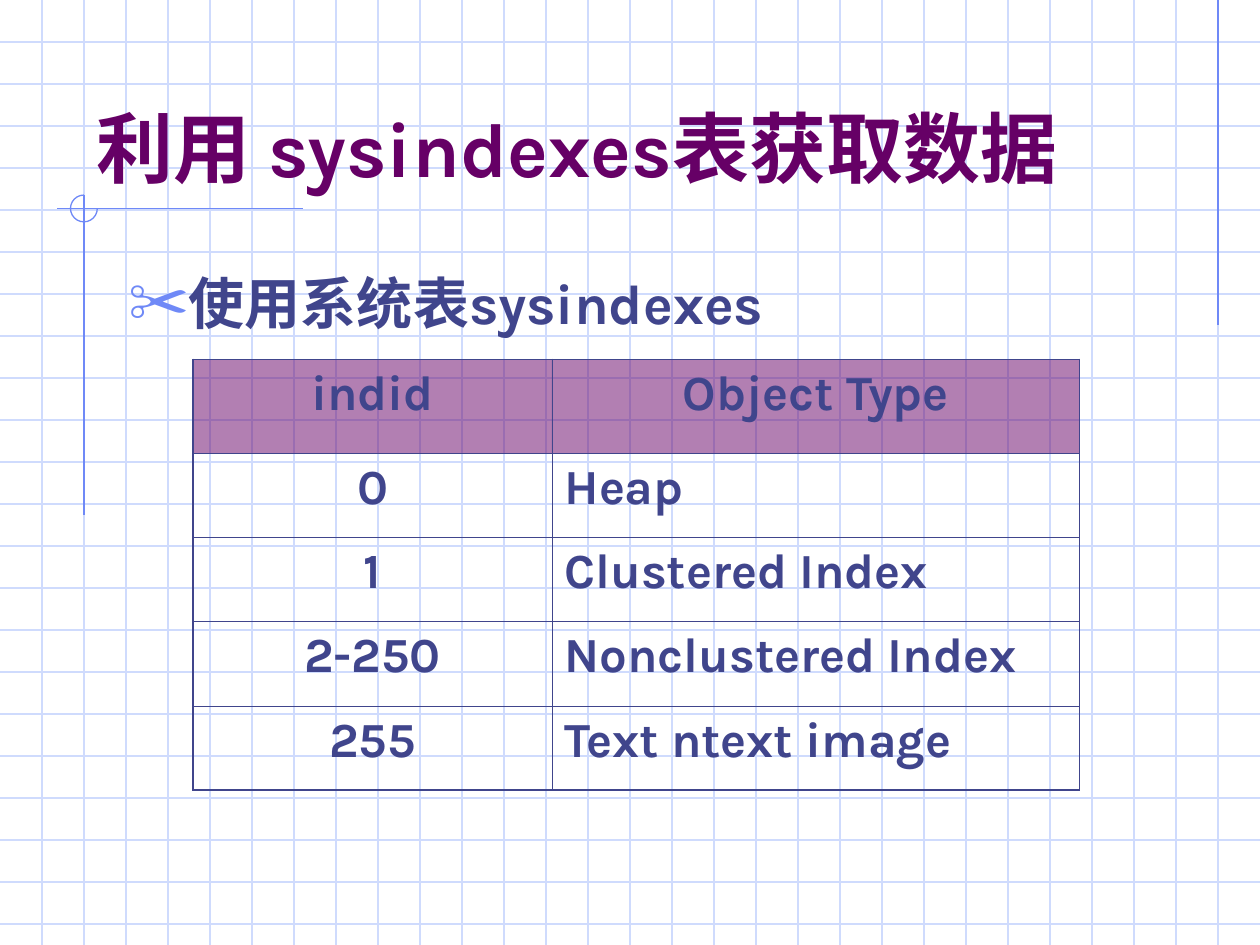
from dataclasses import dataclass

from lxml import etree
from pptx import Presentation
from pptx import util as u
from pptx.dml.color import RGBColor
from pptx.enum import shapes, text
from pptx.oxml import ns

Pt = u.Pt
ALIGN = text.PP_ALIGN


@dataclass(frozen=True)
class Theme:
    font: str = "Karla"
    title: str = "660066"
    body: str = "40458C"
    accent: str = "6F89F7"
    grid: str = "CFDBFD"
    title_size: float = 44
    body_size: float = 32
    cell_size: float = 28
    hairline: float = 0.75
    inner_border: float = 0.45
    outer_border: float = 1.08


def apply(obj, values):
    for name, value in values.items():
        setattr(obj, name, value)


def add_xml(parent, tag, **attrs):
    return etree.SubElement(parent, ns.qn(tag), attrs)


class SlideBuilder:
    def __init__(self, prs, theme):
        self.theme = theme
        self.s = prs.slides.add_slide(prs.slide_layouts[1])

    def add_text(self, tf, words, size, color, **fmt):
        p = tf.paragraphs[0]
        apply(p, fmt)
        r = p.add_run()
        r.text = words
        apply(r.font, {"name": self.theme.font, "size": Pt(size), "bold": True})
        r.font.color.rgb = RGBColor.from_string(color)
        return p

    def stroke(self, sp, color):
        sp.line.width = Pt(self.theme.hairline)
        sp.line.color.rgb = RGBColor.from_string(color)

    def line(self, x1, y1, x2, y2, color):
        ends = [Pt(v) for v in (x1, y1, x2, y2)]
        sp = self.s.shapes.add_connector(shapes.MSO_CONNECTOR.STRAIGHT, *ends)
        self.stroke(sp, color)
        add_xml(sp._element.spPr, "a:effectLst")

    def arc(self, x, y, size, start, end, color):
        sp = self.s.shapes.add_shape(shapes.MSO_SHAPE.ARC, Pt(x), Pt(y), Pt(size), Pt(size))
        # Angles are stored in 60000ths of a degree, adjustments in 100000ths
        sp.adjustments[0], sp.adjustments[1] = start * 0.6, end * 0.6
        sp.shadow.inherit = False
        sp.fill.background()
        self.stroke(sp, color)

    def placeholder(self, idx, box, anchor, words, size, color, **fmt):
        sp = self.s.placeholders[idx]
        apply(sp, dict(zip(("left", "top", "width", "height"), map(Pt, box))))
        apply(sp.text_frame, {"vertical_anchor": anchor, "word_wrap": True,
                              "auto_size": text.MSO_AUTO_SIZE.NONE})
        self.s.shapes._spTree.append(sp._element)  # in front of the grid
        return self.add_text(sp.text_frame, words, size, color, **fmt)

    def bullet(self, p, char, indent, percent):
        pPr = p._p.get_or_add_pPr()
        pPr.set("marL", str(Pt(indent)))
        pPr.set("indent", str(-Pt(indent)))
        add_xml(add_xml(pPr, "a:buClr"), "a:srgbClr", val=self.theme.accent)
        add_xml(pPr, "a:buSzPct", val=str(percent * 1000))
        add_xml(pPr, "a:buChar", char=char)

    def borders(self, cell, outer):
        tcPr = cell._tc.get_or_add_tcPr()
        for side in "LRTB":
            width = self.theme.outer_border if side in outer else self.theme.inner_border
            ln = add_xml(tcPr, f"a:ln{side}", w=str(Pt(width)))
            add_xml(add_xml(ln, "a:solidFill"), "a:srgbClr", val=self.theme.body)

    def table(self, x, y, widths, heights, rows):
        t = self.theme
        tbl = self.s.shapes.add_table(len(rows), len(widths), Pt(x), Pt(y),
                                      Pt(sum(widths)), Pt(sum(heights))).table
        apply(tbl, {"first_row": False, "horz_banding": False})
        for col, width in zip(tbl.columns, widths):
            col.width = Pt(width)
        for row, height in zip(tbl.rows, heights):
            row.height = Pt(height)
        for i, row in enumerate(rows):
            for j, words in enumerate(row):
                cell = tbl.cell(i, j)
                edges = {"T": i == 0, "B": i == len(rows) - 1,
                         "L": j == 0, "R": j == len(widths) - 1}
                self.borders(cell, [side for side, on in edges.items() if on])
                if i == 0:
                    self.tint(cell, t.title, 50)
                else:
                    cell.fill.background()
                align = ALIGN.CENTER if i == 0 or j == 0 else ALIGN.LEFT
                self.add_text(cell.text_frame, words, t.cell_size, t.body,
                              alignment=align, space_before=Pt(7))

    def tint(self, cell, color, percent):
        cell.fill.solid()
        cell.fill.fore_color.rgb = RGBColor.from_string(color)
        clr = cell._tc.tcPr.find(ns.qn("a:solidFill")).find(ns.qn("a:srgbClr"))
        add_xml(clr, "a:alpha", val=str(percent * 1000))


def main():
    width, height, step = 720, 540, 24
    prs = Presentation()
    apply(prs, {"slide_width": Pt(width), "slide_height": Pt(height)})
    t = Theme()
    b = SlideBuilder(prs, t)

    # Background grid
    for y in range(step, height, step):
        b.line(0, y, width, y, t.grid)
    for x in range(step, width, step):
        b.line(x, 0, x, height, t.grid)

    # Accent lines and corner arc
    b.line(696, 0, 696, 186, t.accent)
    b.line(173, 119.3, 32.5, 119.3, t.accent)
    b.line(48, 111.5, 48, 294.5, t.accent)
    b.arc(40.3, 111.5, 15.3, 0, 270, t.accent)

    # Title and bullet
    b.placeholder(0, (48, 24, 612, 90), text.MSO_ANCHOR.BOTTOM,
                  "利用 sysindexes表获取数据", t.title_size, t.title,
                  alignment=ALIGN.LEFT)
    p = b.placeholder(1, (66, 150, 612, 324), text.MSO_ANCHOR.TOP,
                      "使用系统表sysindexes", t.body_size, t.body,
                      alignment=ALIGN.LEFT, space_before=Pt(8))
    b.bullet(p, "✂", 27, 110)

    # Index types
    b.table(110.4, 205.4, [205, 301.5], [53.6] + [48.15] * 4, [
        ("indid", "Object Type"),
        ("0", "Heap"),
        ("1", "Clustered Index"),
        ("2-250", "Nonclustered Index"),
        ("255", "Text ntext image"),
    ])

    prs.save("out.pptx")


if __name__ == "__main__":
    main()
